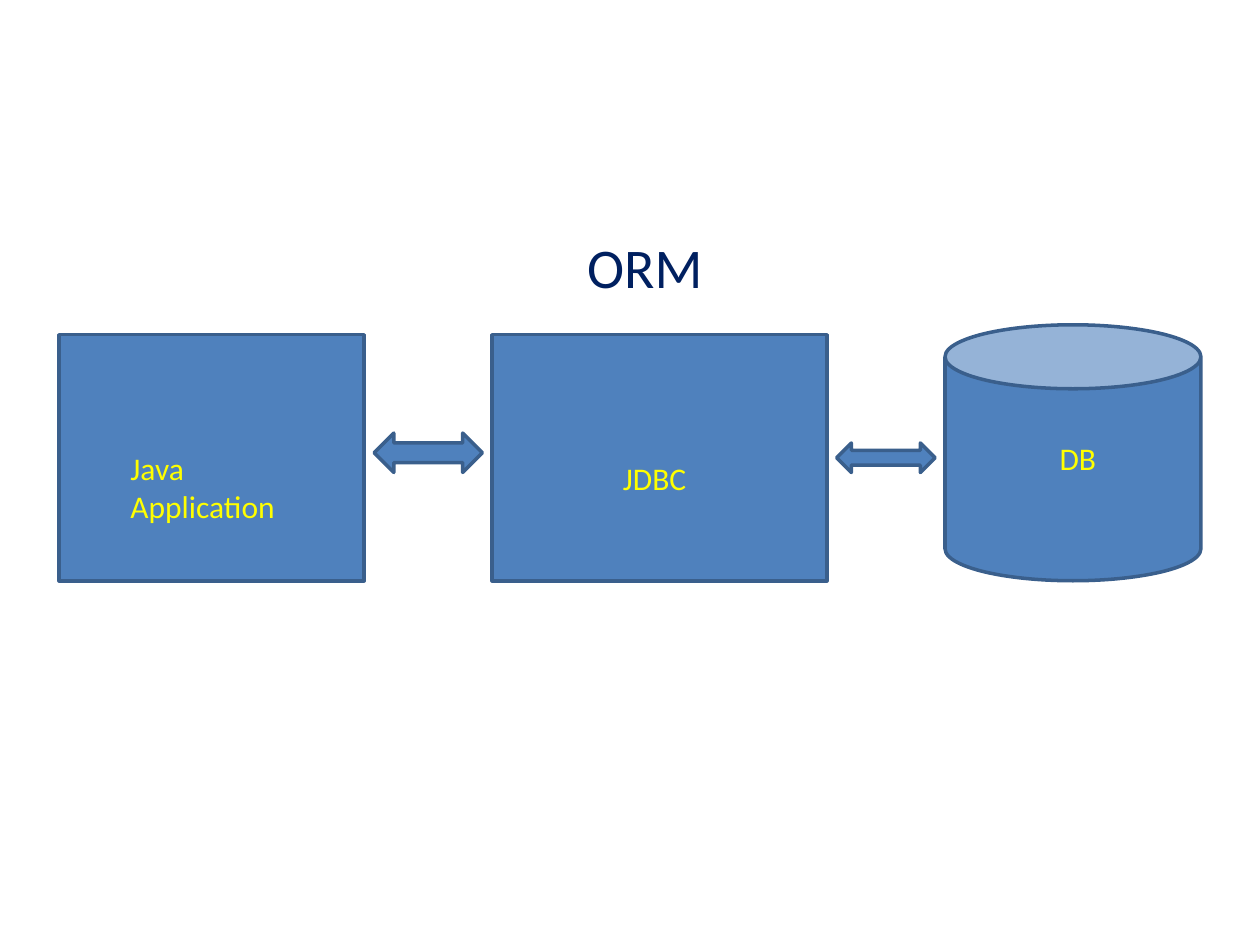
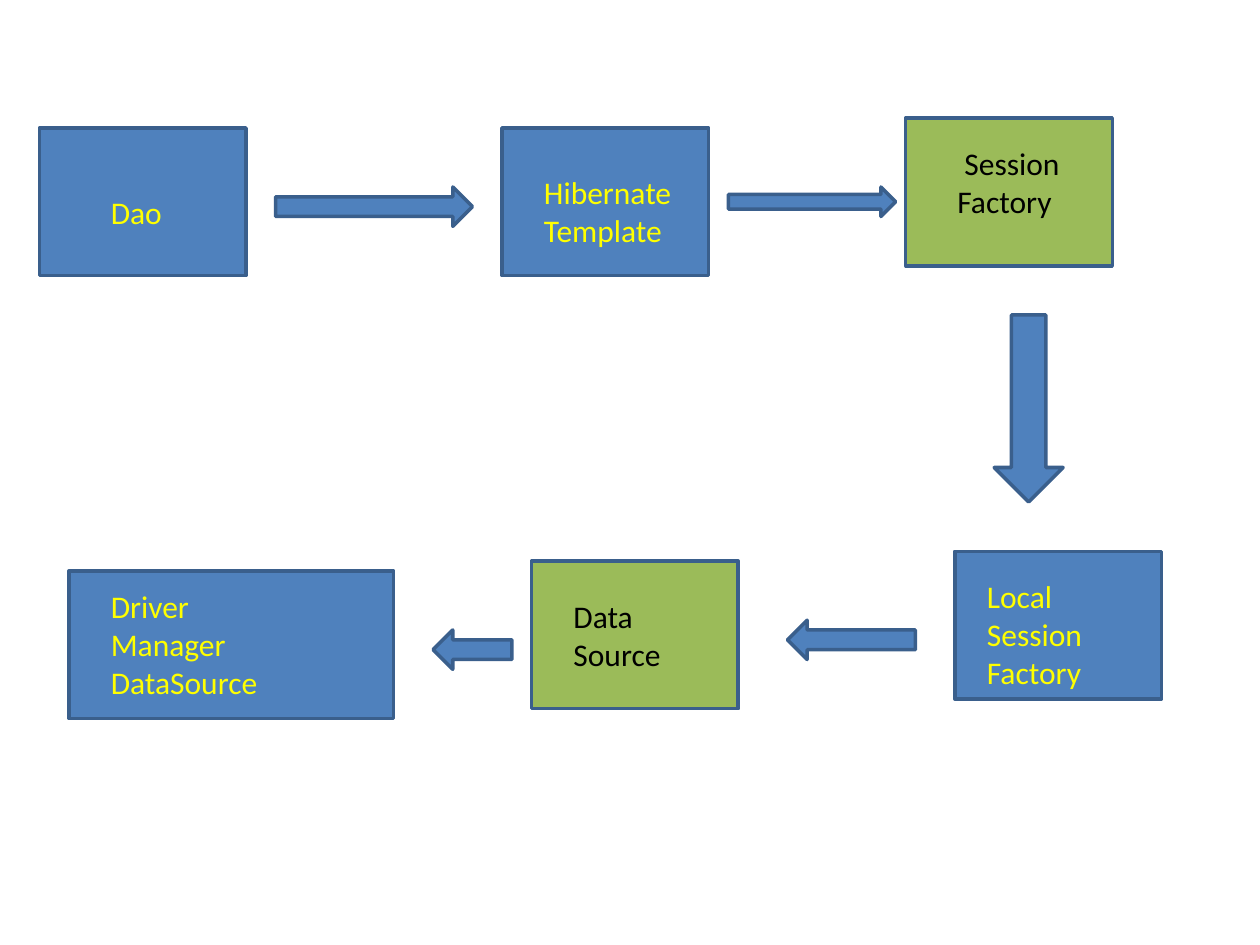
from pptx import Presentation
from pptx.dml.color import RGBColor
from pptx.enum.shapes import MSO_SHAPE
from pptx.enum.text import MSO_AUTO_SIZE, PP_ALIGN
from pptx.util import Inches, Pt

BLUE = RGBColor(0x4F, 0x81, 0xBD)
GREEN = RGBColor(0x9B, 0xBB, 0x59)
OUTLINE = RGBColor(0x3A, 0x5F, 0x8C)
YELLOW = RGBColor(0xFF, 0xFF, 0x00)
NAVY = RGBColor(0x00, 0x20, 0x60)
BLACK = RGBColor(0x00, 0x00, 0x00)

deck = Presentation()
deck.slide_width = Inches(10)
deck.slide_height = Inches(7.5)
COLUMN = deck.slide_width / 128
ROW = deck.slide_height / 96
BLANK = deck.slide_layouts[6]


def add_text(page, text, column, row, columns, size=18, color=YELLOW, align=PP_ALIGN.LEFT):
    lines = text.split("\n")
    height = Pt(size * 1.2 * len(lines)) + Inches(0.1)
    box = page.shapes.add_textbox(int(column * COLUMN), int(row * ROW), int(columns * COLUMN), int(height))
    frame = box.text_frame
    frame.word_wrap = True
    frame.auto_size = MSO_AUTO_SIZE.SHAPE_TO_FIT_TEXT
    frame.text = text
    for para in frame.paragraphs:
        para.alignment = align
        for span in para.runs:
            span.font.name = "Calibri"
            span.font.size = Pt(size)
            span.font.color.rgb = color


def add_block(page, kind, column, row, columns, rows, fill=BLUE):
    block = page.shapes.add_shape(
        kind, int(column * COLUMN), int(row * ROW), int(columns * COLUMN), int(rows * ROW))
    block.shadow.inherit = False
    block.fill.solid()
    block.fill.fore_color.rgb = fill
    block.line.color.rgb = OUTLINE
    block.line.width = Pt(2)


mapping_page = deck.slides.add_slide(BLANK)
for kind, column, row, columns, rows in [
    (MSO_SHAPE.RECTANGLE, 6, 34, 31, 25),
    (MSO_SHAPE.RECTANGLE, 50, 34, 34, 25),
    (MSO_SHAPE.CAN, 96, 33, 26, 26),
    (MSO_SHAPE.LEFT_RIGHT_ARROW, 38, 44, 11, 4),
    (MSO_SHAPE.LEFT_RIGHT_ARROW, 85, 45, 10, 3),
]:
    add_block(mapping_page, kind, column, row, columns, rows)
add_text(mapping_page, "Java Application", 12, 45, 18)
add_text(mapping_page, "JDBC", 57, 46, 19, align=PP_ALIGN.CENTER)
add_text(mapping_page, "ORM", 53, 23, 25, size=32, color=NAVY, align=PP_ALIGN.CENTER)
add_text(mapping_page, "DB", 100, 44, 19, align=PP_ALIGN.CENTER)

flow_page = deck.slides.add_slide(BLANK)
for column, row, columns, fill in [
    (4, 13, 21, BLUE),
    (51, 13, 21, BLUE),
    (92, 12, 21, GREEN),
    (97, 56, 21, BLUE),
    (7, 58, 33, BLUE),
    (54, 57, 21, GREEN),
]:
    add_block(flow_page, MSO_SHAPE.RECTANGLE, column, row, columns, 15, fill)
for text, column, row, columns, color in [
    ("Dao", 10, 19, 9, YELLOW),
    ("Hibernate \nTemplate", 54, 17, 16, YELLOW),
    (" Session Factory", 96, 14, 13, BLACK),
    ("Local \nSession \nFactory", 99, 58, 17, YELLOW),
    ("Data\nSource", 57, 60, 13, BLACK),
    ("Driver\nManager\nDataSource", 10, 59, 25, YELLOW),
]:
    add_text(flow_page, text, column, row, columns, color=color)
for kind, column, row, columns, rows in [
    (MSO_SHAPE.RIGHT_ARROW, 28, 19, 20, 4),
    (MSO_SHAPE.RIGHT_ARROW, 74, 19, 17, 3),
    (MSO_SHAPE.DOWN_ARROW, 101, 32, 7, 19),
    (MSO_SHAPE.LEFT_ARROW, 80, 63, 13, 4),
    (MSO_SHAPE.LEFT_ARROW, 44, 64, 8, 4),
]:
    add_block(flow_page, kind, column, row, columns, rows)

deck.save("out.pptx")
